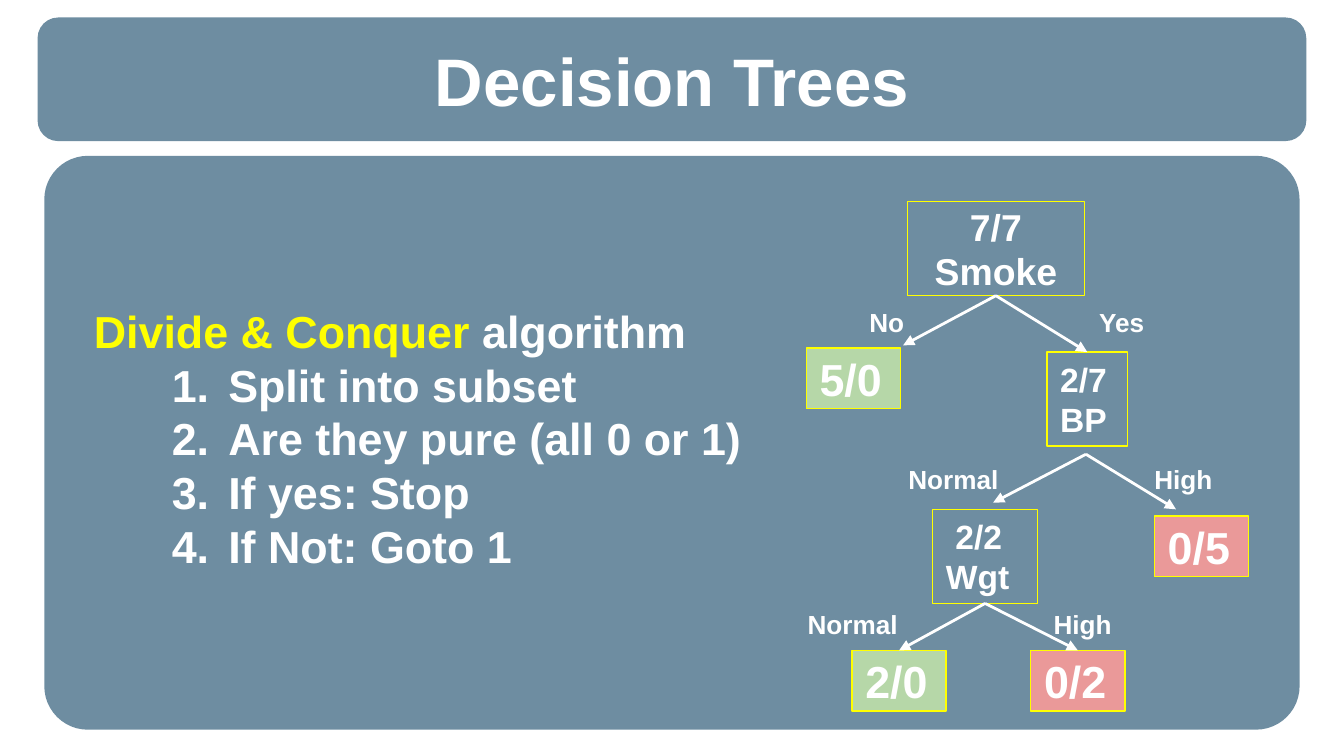
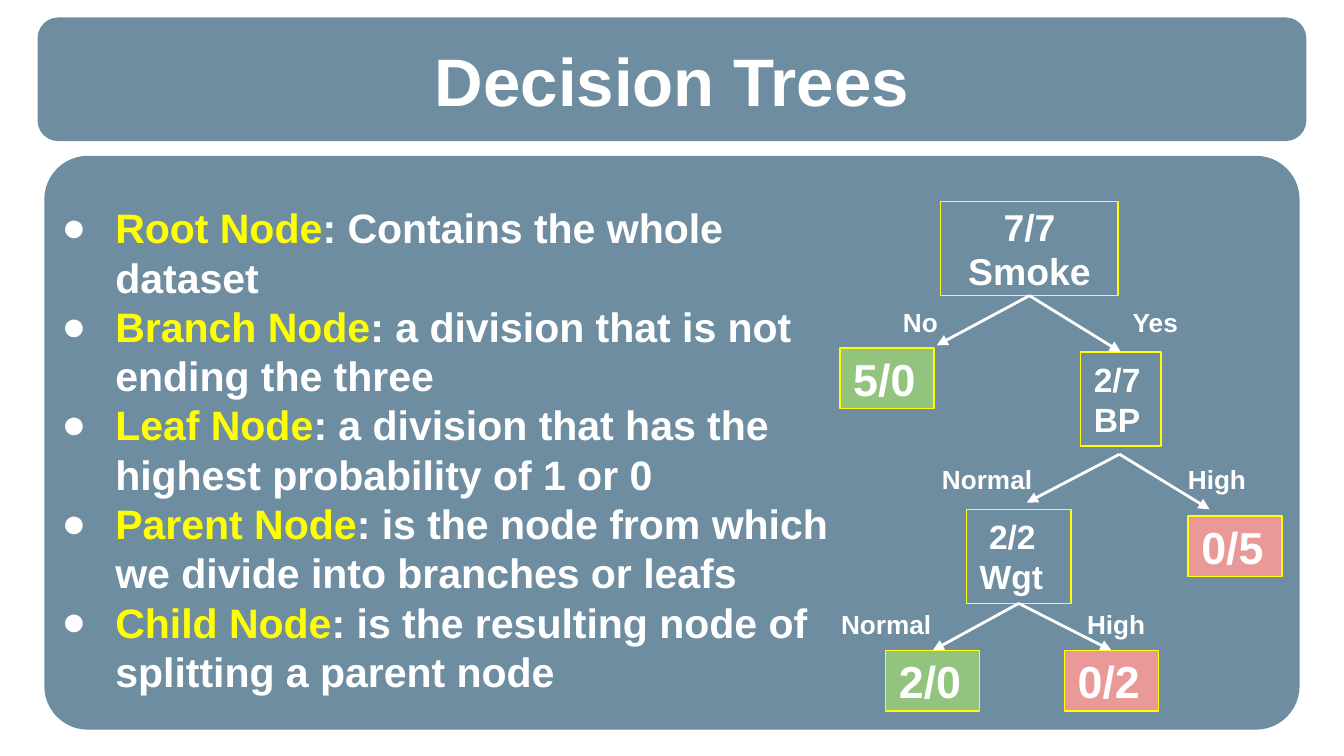
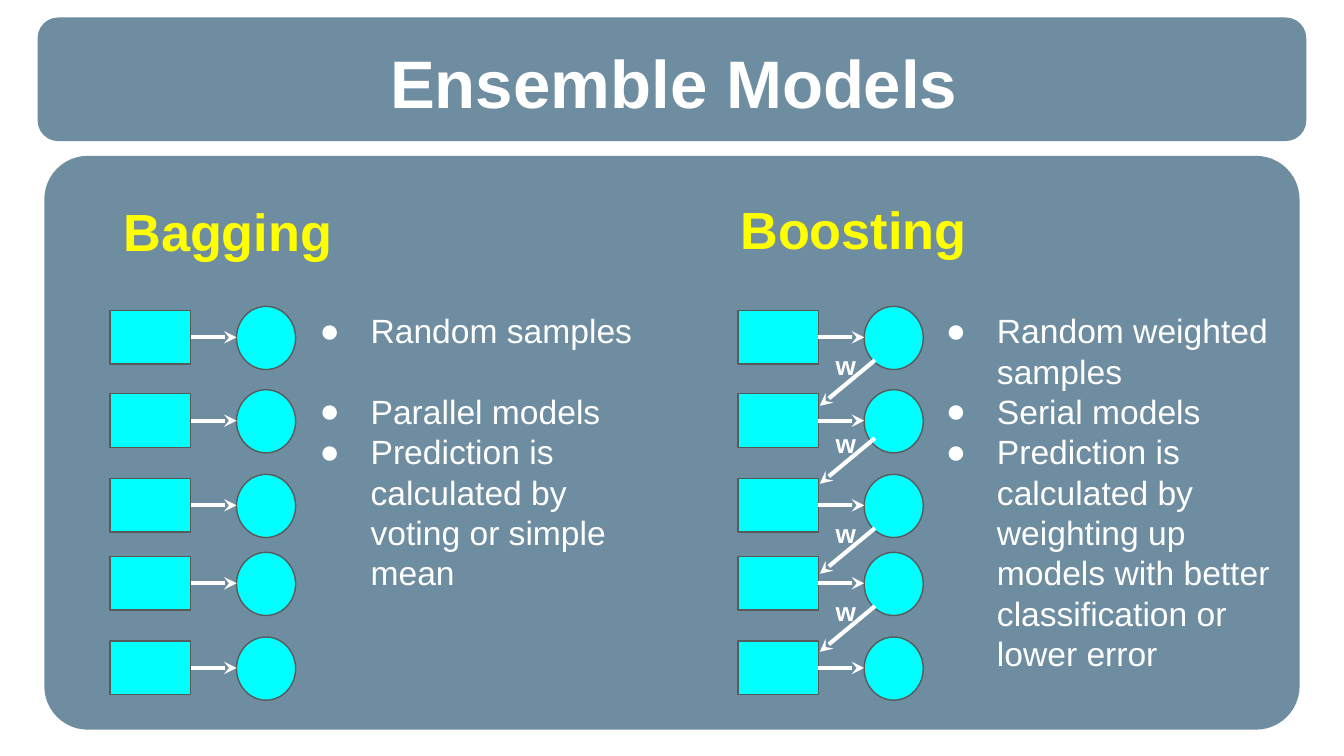
from dataclasses import dataclass

from pptx import Presentation
from pptx.dml.color import RGBColor
from pptx.enum.shapes import MSO_CONNECTOR, MSO_SHAPE
from pptx.enum.text import MSO_ANCHOR, PP_ALIGN
from pptx.oxml.ns import qn
from pptx.util import Inches, Pt
from lxml.etree import SubElement


@dataclass(frozen=True)
class Theme:
    """Colours, font and type sizes shared by the slides."""
    font: str = "Arial"
    band: str = "215170"
    band_opacity: int = 65
    text: str = "FFFFFF"
    accent: str = "FFFF00"
    model: str = "00FFFF"
    model_line: str = "595959"
    impure: str = "EA9999"
    pale_green: str = "B6D7A8"
    green: str = "93C47D"
    title_size: int = 36
    heading_size: int = 28
    large_size: int = 24
    list_size: int = 22
    root_size: int = 20
    body_size: int = 18
    label_size: int = 14


THEME = Theme()
TITLE_BOX = (0.33, 0.29, 9.34, 0.6)


def place(*lengths):
    """Turn numbers into inch lengths."""
    return [Inches(length) for length in lengths]


def colour(code):
    """Turn a hex code into a colour."""
    return RGBColor.from_string(code)


def add_bullet(paragraph, left, hanging, character=None):
    """Give a paragraph a hanging bullet, or a number without a character."""
    properties = paragraph._p.get_or_add_pPr()
    properties.set("marL", str(Inches(left)))
    properties.set("indent", str(-Inches(hanging)))
    bullet_colour = SubElement(properties, qn("a:buClr"))
    SubElement(bullet_colour, qn("a:srgbClr"), val=THEME.text)
    SubElement(properties, qn("a:buFont"), typeface=THEME.font)
    if character:
        SubElement(properties, qn("a:buChar"), char=character)
    else:
        SubElement(properties, qn("a:buAutoNum"), type="arabicPeriod")


def add_runs(paragraph, runs, size, bold=True):
    """Add (text, colour) runs to a paragraph."""
    for text, code in runs:
        run = paragraph.add_run()
        run.text = text
        run.font.name = THEME.font
        run.font.size = Pt(size)
        run.font.bold = bold
        run.font.color.rgb = colour(code)


def write(shape, lines, size, bold=True, align=PP_ALIGN.LEFT, anchor=MSO_ANCHOR.TOP):
    """Write lines of runs into a shape and return its paragraphs."""
    frame = shape.text_frame
    frame.word_wrap = True
    frame.vertical_anchor = anchor
    frame.margin_left = frame.margin_right = Inches(0.1)
    frame.margin_top = frame.margin_bottom = Inches(0.1)
    for index, runs in enumerate(lines):
        paragraph = frame.add_paragraph() if index else frame.paragraphs[0]
        paragraph.alignment = align
        add_runs(paragraph, runs, size, bold)
    return frame.paragraphs


def add_text(slide, box, lines, size, **options):
    """Add a text box and return its paragraphs."""
    return write(slide.shapes.add_textbox(*place(*box)), lines, size, **options)


def add_label(slide, box, text, size=THEME.label_size, code=THEME.text):
    """Add a one-line label."""
    add_text(slide, box, [[(text, code)]], size)


def add_box(slide, kind, box, fill=None, line=None):
    """Add a preset shape with a plain fill and thin line."""
    shape = slide.shapes.add_shape(kind, *place(*box))
    shape.shadow.inherit = False
    if fill:
        shape.fill.solid()
        shape.fill.fore_color.rgb = colour(fill)
    else:
        shape.fill.background()
    if line:
        shape.line.color.rgb = colour(line)
        shape.line.width = Pt(0.75)
    else:
        shape.line.fill.background()
    return shape


def add_arrow(slide, start, end, width, head):
    """Add a straight white arrow."""
    arrow = slide.shapes.add_connector(MSO_CONNECTOR.STRAIGHT, *place(*start, *end))
    arrow.line.color.rgb = colour(THEME.text)
    arrow.line.width = Pt(width)
    SubElement(arrow.line._get_or_add_ln(), qn("a:tailEnd"), type=head)
    SubElement(arrow._element.spPr, qn("a:effectLst"))
    return arrow


def add_band(slide, box, rounding):
    """Add a translucent rounded band."""
    band = add_box(slide, MSO_SHAPE.ROUNDED_RECTANGLE, box, THEME.band)
    band.adjustments[0] = rounding
    fill_colour = band._element.spPr.find(qn("a:solidFill"))[0]
    SubElement(fill_colour, qn("a:alpha"), val=str(THEME.band_opacity * 1000))


def add_slide(presentation, title, title_box=TITLE_BOX):
    """Add a slide with its two bands and title."""
    slide = presentation.slides.add_slide(presentation.slide_layouts[6])
    add_band(slide, (0.28, 0.13, 9.44, 0.92), 0.167)
    add_band(slide, (0.33, 1.16, 9.34, 4.27), 0.076)
    add_text(slide, title_box, [[(title, THEME.text)]], THEME.title_size,
             align=PP_ALIGN.CENTER, anchor=MSO_ANCHOR.MIDDLE)
    return slide


def add_node(slide, box, lines, size, fill=None, align=PP_ALIGN.LEFT):
    """Add a tree node and return it."""
    node = add_box(slide, MSO_SHAPE.RECTANGLE, box, fill, THEME.accent)
    write(node, [[(line, THEME.text)] for line in lines], size,
          align=align, anchor=MSO_ANCHOR.MIDDLE)
    return node


def add_split(slide, apex, left_label, right_label):
    """Add the two labelled arrows below a node and return them."""
    x, y = apex
    arrows = [add_arrow(slide, apex, (x + across, y + down), 1.5, "triangle")
              for across, down in ((-0.69, 0.36), (0.67, 0.41))]
    for text, across, width in (left_label, right_label):
        add_label(slide, (x + across, y - 0.03, width, 0.42), text)
    return arrows


def add_tree(slide, left, top, pure):
    """Add the smoking decision tree from its top left corner."""
    def leaf(x, y, text, fill):
        return add_node(slide, (left + x, top + y, 0.7, 0.45), [text],
                        THEME.large_size, fill)

    def branch(x, y, width, lines):
        return add_node(slide, (left + x, top + y, width, 0.7), lines, THEME.body_size)

    root = add_node(slide, (left + 0.85, top, 1.32, 0.7), ["7/7", "Smoke"],
                    THEME.root_size, align=PP_ALIGN.CENTER)
    leaf(0.1, 1.09, "5/0", pure)
    pressure = branch(1.89, 1.12, 0.6, ["2/7", "BP"])
    leaf(2.69, 2.34, "0/5", THEME.impure)
    weight = branch(1.04, 2.29, 0.78, ["2/2", "Wgt"])
    weight.text_frame.paragraphs[0]._p.get_or_add_pPr().set("indent", str(Inches(0.07)))
    light = leaf(0.44, 3.34, "2/0", pure)
    heavy = leaf(1.77, 3.34, "0/2", THEME.impure)

    normal, high = ("Normal", -1.42, 0.98), ("High", 0.41, 0.78)
    smoke_no, smoke_yes = add_split(slide, (left + 1.51, top + 0.71),
                                    ("No", -1.04, 0.6), ("Yes", 0.67, 0.6))
    add_split(slide, (left + 2.18, top + 1.88), normal, high)
    weight_normal, weight_high = add_split(slide, (left + 1.43, top + 2.96), normal, high)
    smoke_no.begin_connect(root, 2)
    for arrow, parent, child in ((smoke_yes, root, pressure),
                                 (weight_normal, weight, light),
                                 (weight_high, weight, heavy)):
        arrow.begin_connect(parent, 2)
        arrow.end_connect(child, 0)


def add_algorithm_slide(presentation):
    """Add the divide and conquer slide."""
    slide = add_slide(presentation, "Decision Trees")
    steps = ("Split into subset", "Are they pure (all 0 or 1)",
             "If yes: Stop", "If Not: Goto 1")
    lines = [[("Divide & Conquer", THEME.accent), (" algorithm", THEME.text)]]
    lines += [[(step, THEME.text)] for step in steps]
    paragraphs = add_text(slide, (0.6, 2.16, 5.21, 2.3), lines, THEME.large_size)
    for paragraph in paragraphs[1:]:
        add_bullet(paragraph, 1, 0.42)
    add_tree(slide, 5.9, 1.5, THEME.pale_green)


def add_terms_slide(presentation):
    """Add the slide that defines the kinds of node."""
    slide = add_slide(presentation, "Decision Trees")
    terms = (
        ("Root Node", ": Contains the whole dataset"),
        ("Branch Node", ": a division that is not ending the three"),
        ("Leaf Node", ": a division that has the highest probability of 1 or 0"),
        ("Parent Node", ": is the node from which we divide into branches or leafs"),
        ("Child Node", ": is the resulting node of splitting a parent node"),
    )
    lines = [[(term, THEME.accent), (meaning, THEME.text)] for term, meaning in terms]
    for paragraph in add_text(slide, (0.26, 1.41, 6.02, 3.97), lines, THEME.list_size):
        add_bullet(paragraph, 0.5, 0.4, "●")
    add_tree(slide, 6.15, 1.5, THEME.green)


def add_models(slide, left, top):
    """Add five samples, each with an arrow to its model."""
    for row in (0, 0.62, 1.25, 1.83, 2.46):
        middle = top + row + 0.23
        add_box(slide, MSO_SHAPE.OVAL, (left + 0.94, top + row, 0.44, 0.47),
                THEME.model, THEME.model_line)
        sample = add_box(slide, MSO_SHAPE.RECTANGLE, (left, middle - 0.2, 0.6, 0.4),
                         THEME.model, THEME.model_line)
        arrow = add_arrow(slide, (left + 0.6, middle), (left + 0.94, middle),
                          2.25, "stealth")
        arrow.begin_connect(sample, 3)


def add_weights(slide, left, top):
    """Add the weighted arrows from each model to the next sample."""
    for row in (0.4, 0.98, 1.65, 2.23):
        y = top + row
        add_arrow(slide, (left + 1.02, y), (left + 0.61, y + 0.34), 2.25, "stealth")
        add_label(slide, (left + 0.63, y - 0.18, 0.33, 0.4), "w")


def add_points(slide, box, points):
    """Add a bulleted list in body type and return its paragraphs."""
    paragraphs = add_text(slide, box, [[(point, THEME.text)] for point in points],
                          THEME.body_size, bold=False)
    for paragraph in paragraphs:
        add_bullet(paragraph, 0.5, 0.38, "●")
    return paragraphs


def add_ensemble_slide(presentation):
    """Add the slide that compares bagging and boosting."""
    slide = add_slide(presentation, "Ensemble Models", (0.37, 0.21, 9.29, 0.79))
    bagging, boosting, top = 0.82, 5.49, 2.28
    add_label(slide, (bagging, 1.38, 2.36, 0.69), "Bagging",
              THEME.heading_size, THEME.accent)
    add_label(slide, (boosting - 0.08, 1.37, 2.09, 0.69), "Boosting",
              THEME.heading_size, THEME.accent)
    for left in (bagging, boosting):
        add_models(slide, left, top)
    add_weights(slide, boosting, top)
    bagging_points = add_points(slide, (bagging + 1.34, 2.21, 2.67, 2.9), (
        "Random samples", "Parallel models",
        "Prediction is calculated by voting or simple mean"))
    bagging_points[1].space_before = Pt(21.6)
    add_points(slide, (boosting + 1.33, 2.21, 2.77, 2.9), (
        "Random weighted samples", "Serial models",
        "Prediction is calculated by weighting up models with better "
        "classification or lower error"))


def main():
    """Build and save the presentation."""
    presentation = Presentation()
    presentation.slide_width = Inches(10)
    presentation.slide_height = Inches(10 * 9 / 16)
    add_algorithm_slide(presentation)
    add_terms_slide(presentation)
    add_ensemble_slide(presentation)
    presentation.save("out.pptx")


if __name__ == "__main__":
    main()
